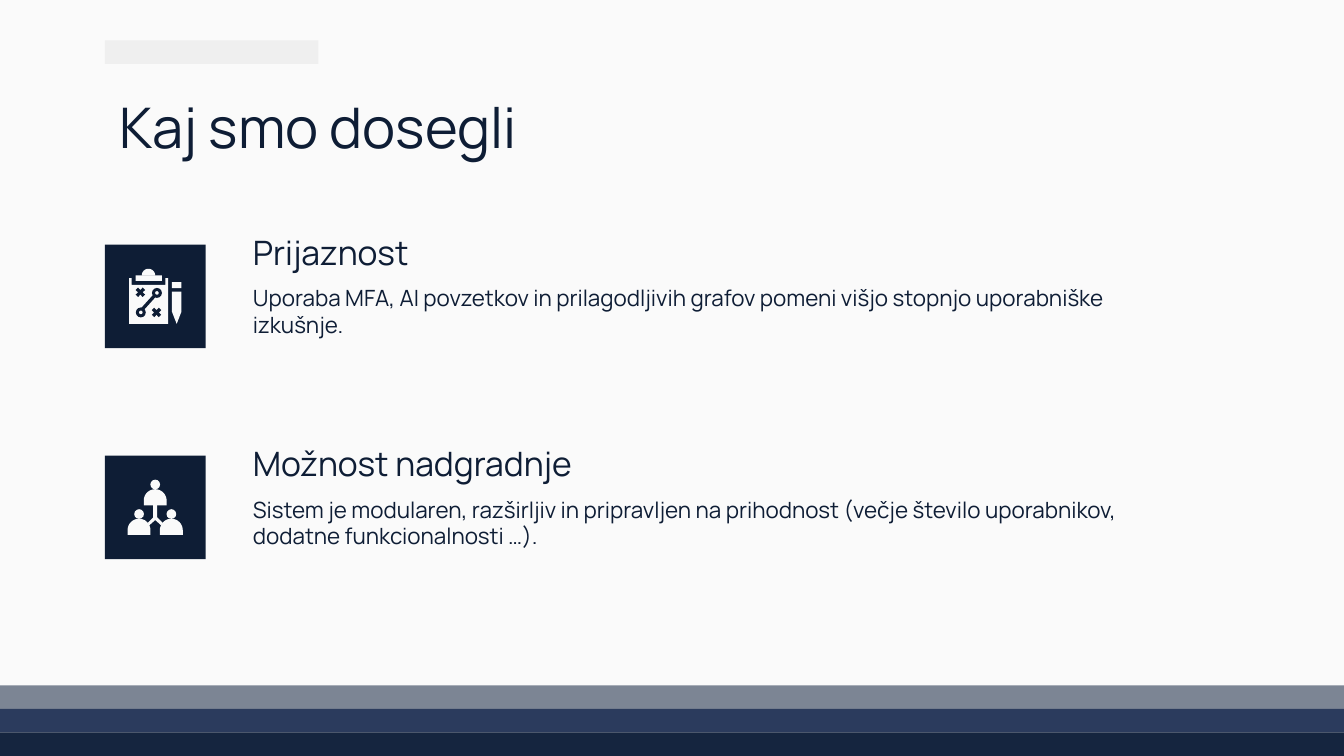
from math import cos, pi, sin

from lxml.etree import SubElement
from pptx import Presentation
from pptx.dml.color import RGBColor
from pptx.enum.shapes import MSO_CONNECTOR, MSO_SHAPE
from pptx.enum.text import MSO_ANCHOR
from pptx.oxml.ns import qn
from pptx.util import Inches, Pt

WIDTH = Inches(10)
HEIGHT = WIDTH * 9 // 16
COLUMNS, ROWS = 1000, 562.5
FONT = "Manrope"
COLORS = {
    "paper": "FAFAFA",
    "ink": "0E1D35",
    "tag": "EFEFEF",
    "bands": ["7C8594", "2B3B5D", "15253F"],
}
TILE_LEFT, TILE_WIDTH, TILE_HEIGHT = 78, 75, 77
FIRST_TILE_TOP, TILE_PITCH = 182, 157
TEXT_LEFT, TEXT_WIDTH = 178.3, 685


def col(count):
    return round(WIDTH * count / COLUMNS)


def row(count):
    return round(HEIGHT * count / ROWS)


def paint(shape, color):
    shape.shadow.inherit = False
    shape.fill.solid()
    shape.fill.fore_color.rgb = RGBColor.from_string(color)
    shape.line.fill.background()


def add_block(slide, left, top, width, height, color, kind=MSO_SHAPE.RECTANGLE):
    block = slide.shapes.add_shape(kind, col(left), row(top), col(width), row(height))
    paint(block, color)


def add_disc(slide, x, y, radius, color):
    add_block(slide, x - radius, y - radius, 2 * radius, 2 * radius, color, MSO_SHAPE.OVAL)


def add_outline(slide, left, top, points, color):
    corners = [(col(left + x), row(top + y)) for x, y in points]
    builder = slide.shapes.build_freeform(*corners[0], scale=1)
    builder.add_line_segments(corners[1:], close=True)
    paint(builder.convert_to_shape(), color)


def add_dome(slide, x, top, radius, height, color):
    angles = [pi + pi * step / 24 for step in range(25)]
    arc = [(radius * cos(angle), radius + radius * sin(angle)) for angle in angles]
    add_outline(slide, x, top, arc + [(radius, height), (-radius, height)], color)


def add_cross(slide, x, y, color):
    points = []
    arm = [(0, -1.7), (1.7, -3.5), (3.5, -1.7)]
    for _ in range(4):
        points += arm
        arm = [(-dy, dx) for dx, dy in arm]
    add_outline(slide, x, y, points, color)


def add_route(slide, start, end, color):
    route = slide.shapes.add_connector(
        MSO_CONNECTOR.STRAIGHT, col(start[0]), row(start[1]), col(end[0]), row(end[1])
    )
    route.line.width = Pt(1.75)
    route.line.color.rgb = RGBColor.from_string(color)
    SubElement(route._element.spPr, qn("a:effectLst"))


def add_text(slide, left, top, width, height, wording, size, anchor=MSO_ANCHOR.TOP):
    box = slide.shapes.add_textbox(col(left), row(top), col(width), row(height))
    frame = box.text_frame
    frame.word_wrap = True
    frame.vertical_anchor = anchor
    frame.margin_left = frame.margin_right = Inches(0.1)
    frame.margin_top = frame.margin_bottom = Inches(0.1)
    run = frame.paragraphs[0].add_run()
    run.text = wording
    run.font.name = FONT
    run.font.size = Pt(size)
    run.font.color.rgb = RGBColor.from_string(COLORS["ink"])


def draw_plan(slide, left, top):
    light, dark = COLORS["paper"], COLORS["ink"]
    sheet = [(18, 25), (20, 25), (20, 30), (45, 30), (45, 25), (47, 25), (47, 59), (18, 59)]
    pencil = [(50, 35), (57, 35), (57, 50), (53.5, 59), (50, 50)]
    add_outline(slide, left, top, sheet, light)
    add_outline(slide, left, top, pencil, light)
    add_block(slide, left + 50, top + 28, 7, 4.5, light)
    add_dome(slide, left + 32.5, top + 18, 5, 5, light)
    add_block(slide, left + 23, top + 23, 19.5, 4, light)
    for x, y in [(26.5, 35.5), (38.5, 50.5)]:
        add_cross(slide, left + x, top + y, dark)
    add_route(slide, (left + 37, top + 38), (left + 28, top + 48), dark)
    for x, y in [(38.8, 36), (26.8, 50.5)]:
        add_disc(slide, left + x, top + y, 3.7, dark)
        add_disc(slide, left + x, top + y, 1.3, light)


def draw_team(slide, left, top):
    light = COLORS["paper"]
    links = [(36, 36), (39, 36), (39, 46), (43, 50), (42, 52),
             (37.5, 48), (33, 52), (32, 50), (36, 46)]
    add_outline(slide, left, top, links, light)
    for x, y in [(37.5, 21.5), (25.5, 43.5), (49.5, 43.5)]:
        add_disc(slide, left + x, top + y, 3.6, light)
        add_dome(slide, left + x, top + y + 3.5, 8.5, 12, light)


def add_achievement(slide, index, heading, detail, draw_icon):
    top = FIRST_TILE_TOP + index * TILE_PITCH
    add_block(slide, TILE_LEFT, top, TILE_WIDTH, TILE_HEIGHT, COLORS["ink"])
    draw_icon(slide, TILE_LEFT, top)
    add_text(slide, TEXT_LEFT, top - 8.3, TEXT_WIDTH, 39, heading, 18, MSO_ANCHOR.BOTTOM)
    add_text(slide, TEXT_LEFT, top + 19.8, TEXT_WIDTH, 77, detail, 12)


def main():
    deck = Presentation()
    deck.slide_width, deck.slide_height = WIDTH, HEIGHT
    slide = deck.slides.add_slide(deck.slide_layouts[6])
    slide.background.fill.solid()
    slide.background.fill.fore_color.rgb = RGBColor.from_string(COLORS["paper"])

    band_height = 17.5
    for index, color in enumerate(COLORS["bands"]):
        band_top = ROWS - (3 - index) * band_height
        add_block(slide, 0, band_top, COLUMNS, band_height, color)
    add_block(slide, TILE_LEFT, 30, 159, 17.5, COLORS["tag"])
    add_text(slide, 79, 59, 843, 63, "Kaj smo dosegli", 30)

    achievements = [
        ("Prijaznost",
         "Uporaba MFA, AI povzetkov in prilagodljivih grafov pomeni višjo stopnjo "
         "uporabniške izkušnje.", draw_plan),
        ("Možnost nadgradnje",
         "Sistem je modularen, razširljiv in pripravljen na prihodnost (večje število "
         "uporabnikov, dodatne funkcionalnosti …).", draw_team),
    ]
    for index, (heading, detail, draw_icon) in enumerate(achievements):
        add_achievement(slide, index, heading, detail, draw_icon)
    deck.save("out.pptx")


if __name__ == "__main__":
    main()
